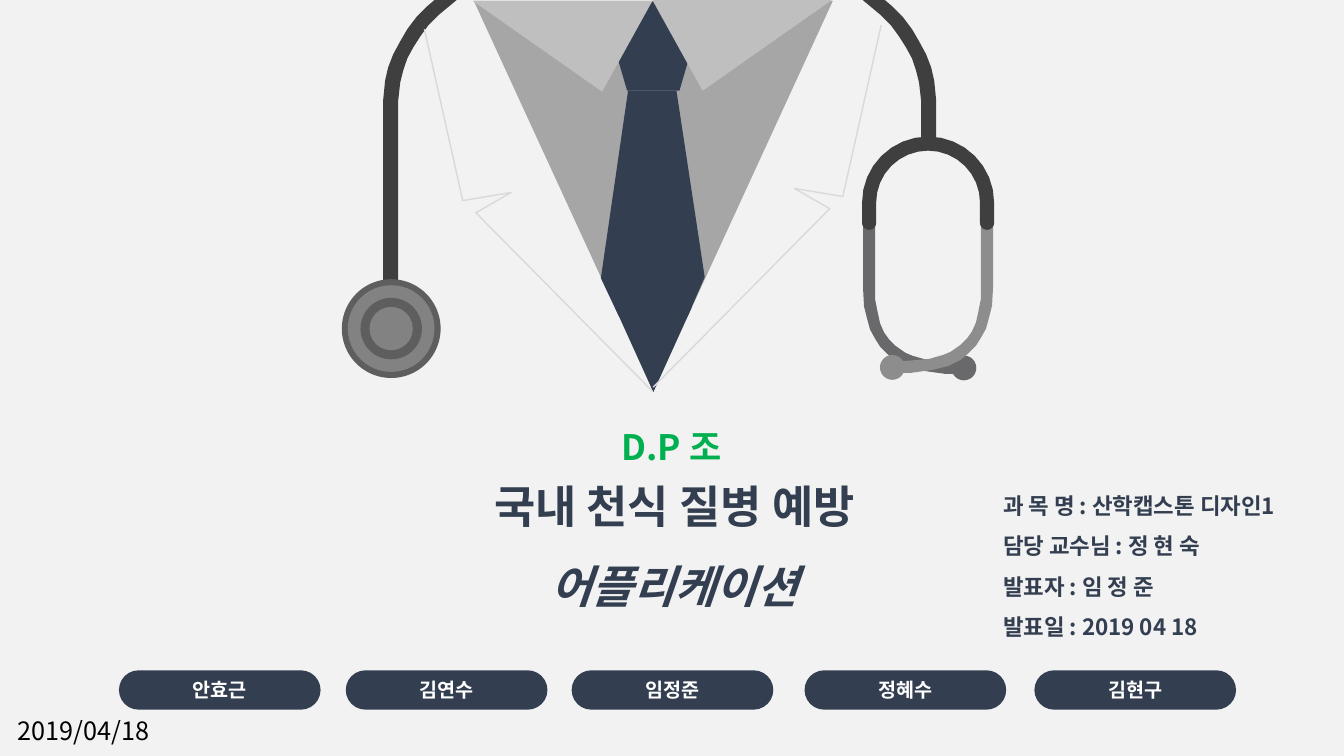
import math
from pptx import Presentation, util as u
from pptx.dml.color import RGBColor
from pptx.enum import shapes as sh, text as tx
from pptx.oxml import parse_xml
from pptx.oxml.ns import nsdecls

# The slide is a grid of square cells: 133.3 columns by 75 rows
COLS, ROWS = 133.3, 75
CELL = u.Inches(0.1)
FONT = "Noto Sans CJK KR"
NAVY, DARK, STEEL, METAL = "333F50", "3F3F3F", "5E5E5E", "828282"
SHIRT, COLLAR, SEAM = "A6A6A6", "BFBFBF", "D9D9D9"
KIND = sh.MSO_SHAPE


def grid(*cells):
    return [round(c * CELL) for c in cells]


def color(hexa):
    return RGBColor.from_string(hexa)


def paint(shape, fill=None, line=None):
    shape.shadow.inherit = False
    if fill:
        shape.fill.solid()
        shape.fill.fore_color.rgb = color(fill)
    else:
        shape.fill.background()
    if line:
        shape.line.color.rgb = color(line)
        shape.line.width = u.Pt(1)
    else:
        shape.line.fill.background()
    return shape


def solid(parent, kind, box, fill, adj=None, turn=0):
    shape = paint(parent.shapes.add_shape(kind, *grid(*box)), fill)
    if adj is not None:
        shape.adjustments[0] = adj
    shape.rotation = turn
    return shape


def disc(parent, x, y, r, fill):
    solid(parent, KIND.OVAL, (x - r, y - r, 2 * r, 2 * r), fill)


def outline(parent, pts, fill=None, line=None):
    spots = [grid(*p) for p in pts]
    form = parent.shapes.build_freeform(*spots[0], scale=1.0)
    form.add_line_segments(spots[1:], close=fill is not None)
    paint(form.convert_to_shape(), fill, line)


def arc(x, y, r, start, end, steps=16):
    turns = [math.radians(start + (end - start) * i / steps)
             for i in range(steps + 1)]
    return [(x + r * math.cos(t), y + r * math.sin(t)) for t in turns]


def mirror(pts, axis, drop=0):
    return [(2 * axis - x, y + drop) for x, y in pts]


def write(shape, lines, size, hexa, align, bold=True, space=None):
    frame = shape.text_frame
    frame.word_wrap = True
    frame.auto_size = tx.MSO_AUTO_SIZE.NONE
    frame.text = "\n".join(lines)
    for para in frame.paragraphs:
        para.alignment = align
        if space:
            para.line_spacing = space
        for run in para.runs:
            font = run.font
            font.name, font.size, font.bold = FONT, u.Pt(size), bold
            font.color.rgb = color(hexa)
            east = f'<a:ea {nsdecls("a")} typeface="{FONT}"/>'
            font._element.append(parse_xml(east))
    return frame


def label(slide, box, lines, *style, **more):
    write(slide.shapes.add_textbox(*grid(*box)), lines, *style, **more)


def shirt(art):
    tri = KIND.ISOSCELES_TRIANGLE
    solid(art, tri, (47, 0.1, 35.6, 38.7), SHIRT, 0.5, 180)
    solid(art, KIND.REGULAR_PENTAGON, (60.6, 0.1, 8.4, 8.9), NAVY)
    outline(art, [(62.3, 9), (67.1, 9), (69.9, 27.5), (68.2, 31.4),
                  (61.4, 31.4), (59.6, 27.6)], NAVY)
    solid(art, tri, (46.9, 0.1, 17.8, 9), COLLAR, 0.28, 180)
    solid(art, tri, (64.7, 0, 17.8, 9), COLLAR, 0.72, 180)
    solid(art, tri, (61, 30.5, 7.6, 8.4), NAVY, 0.5, 180)


def lapels(art):
    seam = [(42.1, 2.9), (45.9, 19.9), (50.7, 19.1), (47.2, 21.1),
            (64.7, 38.8)]
    outline(art, seam, line=SEAM)
    outline(art, mirror(seam, 64.75, -0.4), line=SEAM)


def scope(art):
    # Neck tubes, each ending at its own row
    inner = [(45.3, 0), (43.5, 1.5), (42.5, 2.5), (41.7, 3.6), (41, 4.7),
             (40.4, 5.8), (40, 7), (39.7, 8.2), (39.5, 10)]
    outer = [(38, 10), (38.2, 8), (38.5, 6.7), (39, 5.4), (39.7, 4.1),
             (40.4, 2.9), (41.3, 1.7), (42.4, 0.6), (43.1, 0)]

    def tube(end):
        return inner + [(39.5, end), (38, end)] + outer

    outline(art, tube(35.1), DARK)
    outline(art, mirror(tube(14.7), 65.43), DARK)

    # Chest piece
    for r, fill in ((4.9, STEEL), (4.3, METAL), (3.05, STEEL), (2.15, METAL)):
        disc(art, 38.8, 32.6, r, fill)

    # Ear tubes cross over and end in tips
    mid = 92.05
    ear = [(95.2, 37.1), (93.8, 37.1), (91.6, 36.8), (90, 36.4), (88.8, 35.8),
           (88.1, 35.2), (87.3, 34.4), (86.8, 33.6), (86.3, 32.7), (86, 31.6),
           (85.7, 30.4), (85.6, 28.5), (85.6, 22.1), (86.8, 22.1),
           (86.8, 29.7), (87.1, 31.2), (87.3, 32.1), (87.7, 33),
           (88.2, 33.7), (88.8, 34.3), (89.8, 35), (90.5, 35.3),
           (91.9, 35.7), (94.1, 35.9), (95.6, 35.9), (95.6, 37.1)]
    for pts, tip, fill in ((ear, (95.6, 36.5), "69696B"),
                           (mirror(ear, mid, -0.1), (88.5, 36.45), "8D8D8E")):
        outline(art, pts, fill)
        disc(art, *tip, 1.23, fill)

    # Yoke with round ends
    outline(art, arc(mid, 20.1, 6.55, 180, 360)
            + arc(mid + 5.85, 22.1, 0.7, 0, 180)
            + arc(mid, 20.1, 5.15, 360, 180)
            + arc(mid - 5.85, 22.1, 0.7, 0, 180), DARK)


def heading(slide):
    title = slide.shapes.title
    title.left, title.top, title.width, title.height = grid(33.4, 44.3, 67, 23.5)
    frame = write(title, ["국내 천식 질병 예방", "어플리케이션"], 32, NAVY,
                  tx.PP_ALIGN.CENTER, space=1.5)
    frame.vertical_anchor = tx.MSO_ANCHOR.TOP
    frame.paragraphs[1].runs[0].font.italic = True


def team(slide):
    names = {"안효근": 11.8, "김연수": 34.3, "임정준": 56.7,
             "정혜수": 79.8, "김현구": 102.6}
    for name, x in names.items():
        pill = solid(slide, KIND.ROUNDED_RECTANGLE, (x, 66.5, 20, 3.9),
                     NAVY, 0.5)
        frame = write(pill, [name], 14, "FFFFFF", tx.PP_ALIGN.CENTER)
        frame.vertical_anchor = tx.MSO_ANCHOR.MIDDLE


def main():
    deck = Presentation()
    deck.slide_width, deck.slide_height = grid(COLS, ROWS)
    slide = deck.slides.add_slide(deck.slide_layouts[5])
    slide.background.fill.solid()
    slide.background.fill.fore_color.rgb = color("F2F2F2")

    # Doctor's coat and stethoscope
    art = slide.shapes.add_group_shape()
    shirt(art)
    scope(art)
    lapels(art)

    # Wording
    left, center = tx.PP_ALIGN.LEFT, tx.PP_ALIGN.CENTER
    heading(slide)
    team(slide)
    label(slide, (57.4, 39.6, 18.4, 6.5), ["D.P 조"], 25, "00B050", center,
          space=1.5)
    label(slide, (98.5, 47, 34, 23.5),
          ["과 목 명 : 산학캡스톤 디자인1", "담당 교수님 : 정 현 숙",
           "발표자 : 임 정 준", "발표일 : 2019 04 18"],
          16, NAVY, left, space=1.5)
    label(slide, (0.8, 70.5, 19.3, 4), ["2019/04/18"], 18, "000000", left,
          bold=False)
    deck.save("out.pptx")


if __name__ == "__main__":
    main()
